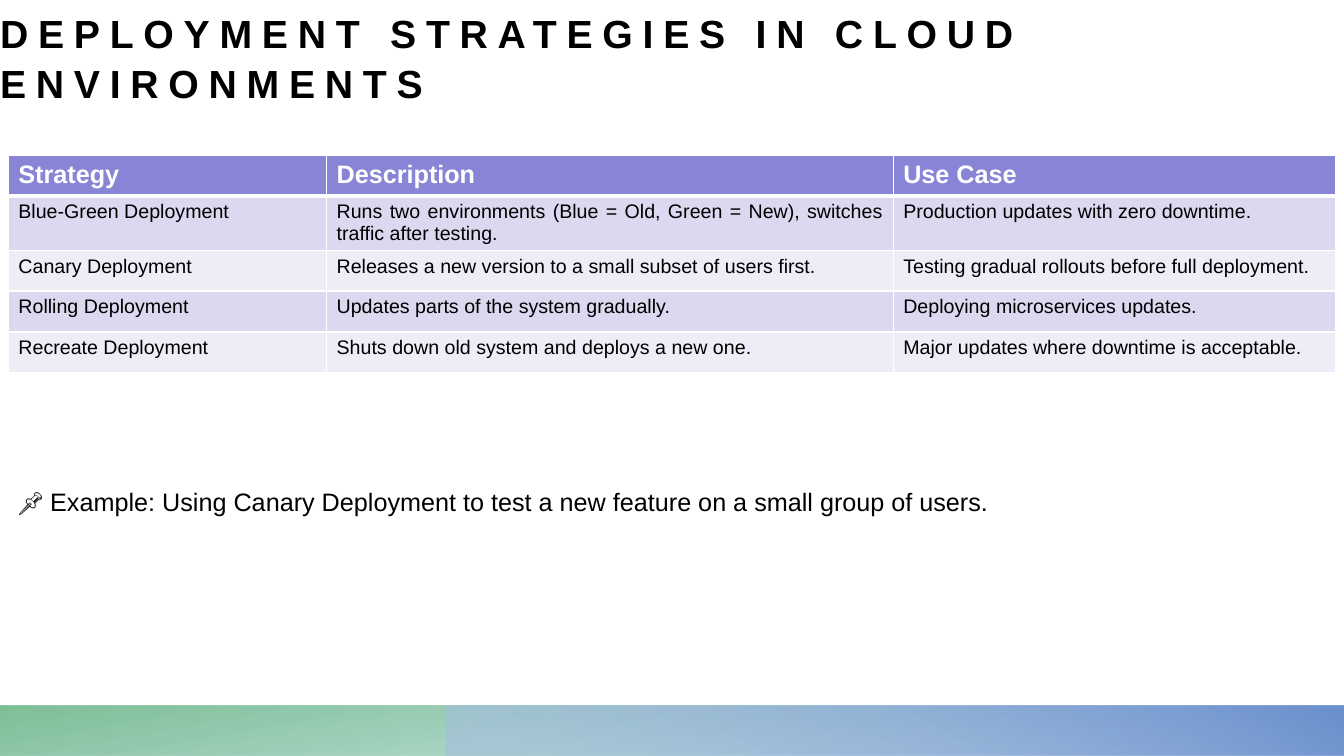
from pptx import Presentation
from pptx.dml.color import RGBColor
from pptx.enum.shapes import MSO_SHAPE
from pptx.enum.text import MSO_ANCHOR, MSO_AUTO_SIZE, PP_ALIGN
from pptx.oxml.ns import qn
from pptx.util import Cm, Pt
from lxml.etree import SubElement

COLORS = {
    "text": "000000", "white": "FFFFFF", "header": "8885D7",
    "band_dark": "DAD9F0", "band_light": "EDEDF8",
    "teal": "5DB4A2", "green": "68B484",
    "pale_blue": "A6BCE2", "blue": "6A90CE",
}
FONT = "Arial"
PAGE_WIDTH, PAGE_HEIGHT = 33.87, 19.05
BAR_TOP, BAR_HEIGHT = 17.78, 1.27
COLUMN_WIDTHS = [8.02, 14.28, 11.15]
ROW_HEIGHT = 1.03
STRATEGIES = [
    ("Strategy", "Description", "Use Case"),
    ("Blue-Green Deployment",
     "Runs two environments (Blue = Old, Green = New), switches traffic after testing.",
     "Production updates with zero downtime."),
    ("Canary Deployment", "Releases a new version to a small subset of users first.",
     "Testing gradual rollouts before full deployment."),
    ("Rolling Deployment", "Updates parts of the system gradually.",
     "Deploying microservices updates."),
    ("Recreate Deployment", "Shuts down old system and deploys a new one.",
     "Major updates where downtime is acceptable."),
]


def rgb(name):
    return RGBColor.from_string(COLORS[name])


class SlideBuilder:
    def __init__(self, deck):
        self.page = deck.slides.add_slide(deck.slide_layouts[5])

    def add_words(self, frame, text, size, color="text", bold=False, align=PP_ALIGN.LEFT):
        para = frame.paragraphs[0]
        para.alignment = align
        span = para.add_run()
        span.text = text
        formats = {"name": FONT, "size": Pt(size), "bold": bold}
        for key, value in formats.items():
            setattr(span.font, key, value)
        span.font.color.rgb = rgb(color)
        return para, span

    def title(self, text, area, size, spacing):
        """Fill the title placeholder; spacing is the letter spacing in points."""
        box = self.page.shapes.title
        for key, value in zip(("left", "top", "width", "height"), area):
            setattr(box, key, Cm(value))
        formats = {"margin_left": 0, "margin_top": 0, "margin_right": 0, "margin_bottom": 0,
                   "vertical_anchor": MSO_ANCHOR.BOTTOM, "word_wrap": True,
                   "auto_size": MSO_AUTO_SIZE.NONE}
        for key, value in formats.items():
            setattr(box.text_frame, key, value)
        para, span = self.add_words(box.text_frame, text, size, bold=True)
        para.line_spacing = 1.05
        span.font._element.set("spc", str(spacing * 100))

    def gradient_bar(self, left, width, stops, angle, rotation=0):
        """Draw a mirrored bar; stops are (position %, colour, opacity %)."""
        bar = self.page.shapes.add_shape(
            MSO_SHAPE.RECTANGLE, Cm(left), Cm(BAR_TOP), Cm(width), Cm(BAR_HEIGHT))
        bar.shadow.inherit = False
        bar.line.fill.background()
        bar.rotation = rotation
        properties = bar._element.spPr
        properties.find(qn("a:xfrm")).set("flipH", "1")
        bar.fill.gradient()
        bar.fill.gradient_angle = 360 - angle
        for stop, (position, color, _) in zip(bar.fill.gradient_stops, stops):
            stop.position = position / 100
            stop.color.rgb = rgb(color)
        for tint, (_, _, opacity) in zip(properties.iter(qn("a:srgbClr")), stops):
            SubElement(tint, qn("a:alpha"), val=str(opacity * 1000))

    def cell_borders(self, cell, bottom):
        properties = cell._tc.get_or_add_tcPr()
        widths = {"a:lnL": 1, "a:lnR": 1, "a:lnT": 1, "a:lnB": bottom}
        for position, (tag, width) in enumerate(widths.items()):
            line = SubElement(properties, qn(tag), w=str(Pt(width)))
            fill = SubElement(line, qn("a:solidFill"))
            SubElement(fill, qn("a:srgbClr"), val=COLORS["white"])
            properties.insert(position, line)

    def table(self, rows, left, top):
        table = self.page.shapes.add_table(
            len(rows), len(COLUMN_WIDTHS), Cm(left), Cm(top),
            Cm(sum(COLUMN_WIDTHS)), Cm(ROW_HEIGHT * len(rows))).table
        for column, width in zip(table.columns, COLUMN_WIDTHS):
            column.width = Cm(width)
        for r, texts in enumerate(rows):
            table.rows[r].height = Cm(ROW_HEIGHT)
            header = r == 0
            band = "header" if header else ("band_light", "band_dark")[r % 2]
            for c, text in enumerate(texts):
                cell = table.cell(r, c)
                cell.fill.solid()
                cell.fill.fore_color.rgb = rgb(band)
                self.cell_borders(cell, 3 if header else 1)
                self.add_words(cell.text_frame, text, 18 if header else 14,
                               "white" if header else "text", header, PP_ALIGN.JUSTIFY)

    def text(self, text, area, size):
        box = self.page.shapes.add_textbox(*map(Cm, area))
        box.text_frame.word_wrap = True
        box.text_frame.auto_size = MSO_AUTO_SIZE.SHAPE_TO_FIT_TEXT
        self.add_words(box.text_frame, text, size)


def main():
    deck = Presentation()
    deck.slide_width, deck.slide_height = Cm(PAGE_WIDTH), Cm(PAGE_HEIGHT)
    slide = SlideBuilder(deck)
    slide.gradient_bar(0, PAGE_WIDTH, [(14, "teal", 28), (100, "green", 85)], 100, rotation=180)
    slide.gradient_bar(11.22, PAGE_WIDTH - 11.22,
                       [(9, "pale_blue", 55), (99, "blue", 100)], 240)
    slide.title("DEPLOYMENT STRATEGIES IN CLOUD ENVIRONMENTS",
                (0, 0.03, PAGE_WIDTH, 2.64), 28, 7)
    slide.table(STRATEGIES, 0.21, 3.91)
    slide.text("📌 Example: Using Canary Deployment to test a new feature on a small group of users.",
               (0.21, 12.14, 27.69, 1.03), 18)
    deck.save("out.pptx")


if __name__ == "__main__":
    main()
